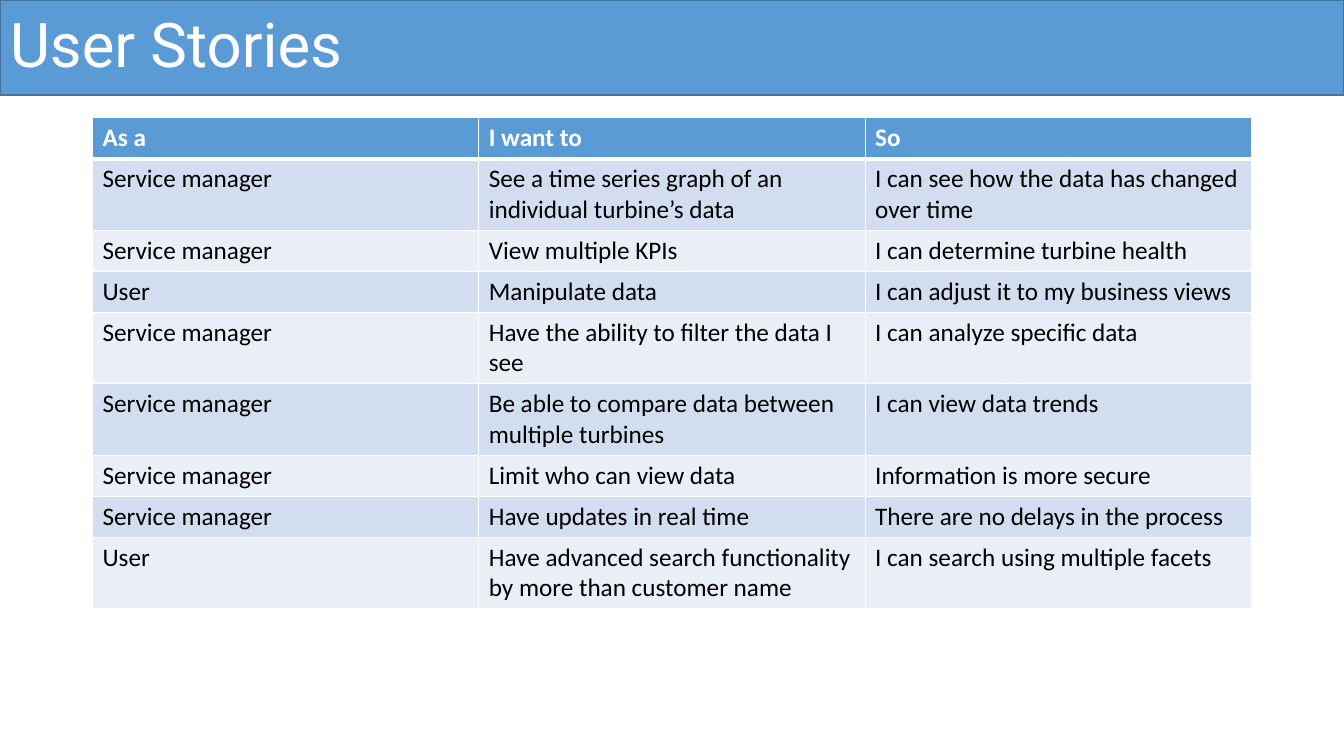
from lxml import etree
from pptx import Presentation
from pptx.dml.color import RGBColor
from pptx.enum.shapes import MSO_SHAPE
from pptx.enum.text import MSO_ANCHOR, MSO_AUTO_SIZE, PP_ALIGN
from pptx.oxml.ns import qn
from pptx.util import Cm, Pt

RECT = MSO_SHAPE.RECTANGLE
MIDDLE = MSO_ANCHOR.MIDDLE
NO_FIT = MSO_AUTO_SIZE.NONE
LEFT = PP_ALIGN.LEFT

WHITE = RGBColor(0xFF, 0xFF, 0xFF)
BLACK = RGBColor(0, 0, 0)
BLUE = RGBColor(0x5B, 0x9B, 0xD5)
NAVY = RGBColor(0x43, 0x73, 0x9E)
BANDS = RGBColor(0xD2, 0xDE, 0xEF), RGBColor(0xEA, 0xEF, 0xF7)

WIDE, HIGH = Cm(33.87), Cm(19.05)
ROW = Cm(1.03)
TITLE = {"name": "Roboto", "size": Pt(44), "bold": False}
HEAD = {"name": "Calibri", "size": Pt(18), "bold": True}
BODY = {**HEAD, "bold": False}

MANAGER = "Service manager"
STORIES = [
    ("As a", "I want to", "So"),
    (MANAGER, "See a time series graph of an individual turbine’s data",
     "I can see how the data has changed over time"),
    (MANAGER, "View multiple KPIs", "I can determine turbine health"),
    ("User", "Manipulate data", "I can adjust it to my business views"),
    (MANAGER, "Have the ability to filter the data I see",
     "I can analyze specific data"),
    (MANAGER, "Be able to compare data between multiple turbines",
     "I can view data trends"),
    (MANAGER, "Limit who can view data", "Information is more secure"),
    (MANAGER, "Have updates in real time",
     "There are no delays in the process"),
    ("User", "Have advanced search functionality by more than customer name",
     "I can search using multiple facets"),
]


def set_all(item, values):
    """Set each attribute of item from a dict."""
    for name, value in values.items():
        setattr(item, name, value)


def write(frame, text, style, color):
    """Put one formatted run in a text frame and return its paragraph."""
    para = frame.paragraphs[0]
    run = para.add_run()
    run.text = text
    set_all(run.font, style)
    run.font.color.rgb = color
    return para


def add_edges(cell, widths):
    """Draw white borders on a cell, with widths in points by side."""
    props = cell._tc.get_or_add_tcPr()
    for side, width in widths.items():
        line = etree.SubElement(props, qn(f"a:ln{side}"), w=str(Pt(width)))
        fill = etree.SubElement(line, qn("a:solidFill"))
        etree.SubElement(fill, qn("a:srgbClr"), val=str(WHITE))


def add_header(slide, text, left, top, width, height):
    """Place the blue band, with the title in front of it."""
    band = slide.shapes.add_shape(RECT, left, top, width, height)
    band.shadow.inherit = False
    band.fill.solid()
    band.fill.fore_color.rgb = BLUE
    band.line.color.rgb = NAVY
    band.line.width = Pt(1)

    title = slide.shapes.title
    set_all(title, {"left": left, "top": top, "width": width,
                    "height": height})
    frame = title.text_frame
    set_all(frame, {"word_wrap": True, "auto_size": NO_FIT,
                    "vertical_anchor": MIDDLE})
    para = write(frame, text, TITLE, WHITE)
    set_all(para, {"alignment": LEFT, "line_spacing": 0.9})
    band._element.addnext(title._element)


def add_stories(slide, rows, left, top, width):
    """Place the banded table of stories; the first row is its head."""
    table = slide.shapes.add_table(
        len(rows), len(rows[0]), left, top, width, ROW * len(rows)).table
    for i, row in enumerate(rows):
        style, ink, fill = ((BODY, BLACK, BANDS[(i - 1) % 2]) if i
                            else (HEAD, WHITE, BLUE))
        edges = {"L": 1, "R": 1, "T": 3 if i == 1 else 1,
                 "B": 1 if i else 3}
        for j, text in enumerate(row):
            cell = table.cell(i, j)
            add_edges(cell, edges)
            cell.fill.solid()
            cell.fill.fore_color.rgb = fill
            write(cell.text_frame, text, style, ink)


def main():
    """Build and save the slide."""
    deck = Presentation()
    set_all(deck, {"slide_width": WIDE, "slide_height": HIGH})
    slide = deck.slides.add_slide(deck.slide_layouts.get_by_name("Title Only"))
    add_stories(slide, STORIES, Cm(2.33), Cm(2.97), Cm(29.21))
    add_header(slide, "User Stories", Cm(0), Cm(0), WIDE, Cm(2.4))
    deck.save("out.pptx")


main()
